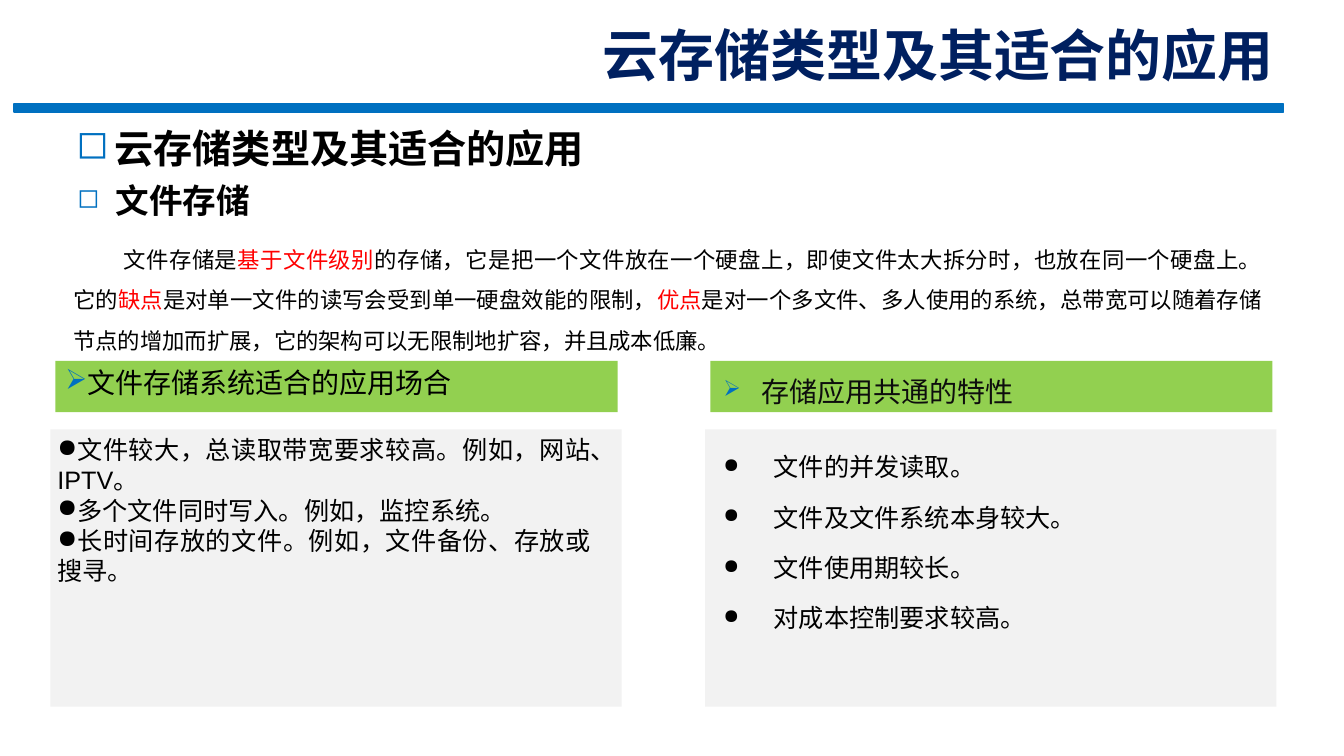
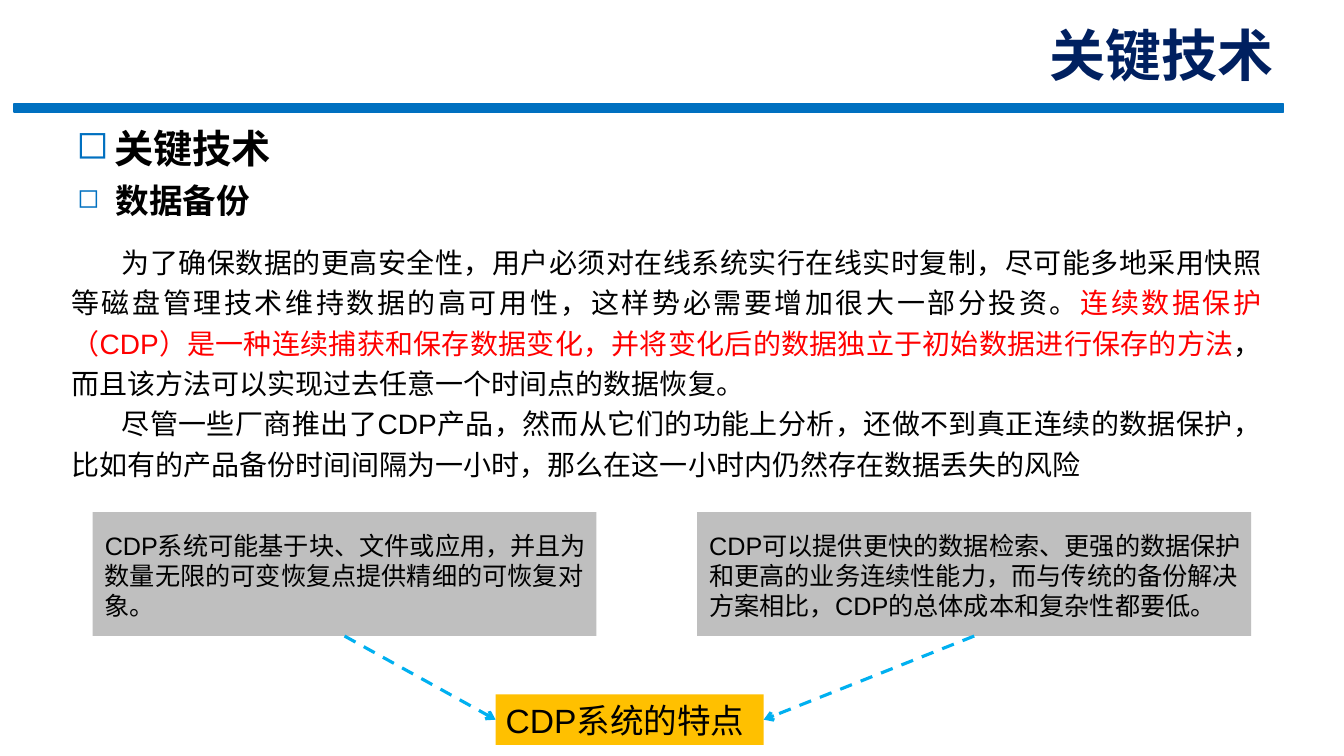
from dataclasses import dataclass
from typing import Optional

from lxml import etree
from pptx import Presentation
from pptx.dml.color import RGBColor
from pptx.enum.dml import MSO_LINE_DASH_STYLE as Dash
from pptx.enum.lang import MSO_LANGUAGE_ID as Language
from pptx.enum.shapes import MSO_CONNECTOR as Connector, MSO_SHAPE as Shape
from pptx.enum.text import MSO_ANCHOR as Anchor, PP_ALIGN as Align
from pptx.oxml.ns import qn
from pptx.util import Inches, Pt

BLACK = RGBColor(0x00, 0x00, 0x00)
NEAR_BLACK = RGBColor(0x0D, 0x0D, 0x0D)
RED = RGBColor(0xFF, 0x00, 0x00)
NAVY = RGBColor(0x00, 0x20, 0x60)
BLUE = RGBColor(0x00, 0x70, 0xC0)
SKY = RGBColor(0x00, 0xB0, 0xF0)
GREEN = RGBColor(0x92, 0xD0, 0x50)
GOLD = RGBColor(0xFF, 0xC0, 0x00)
PALE_GRAY = RGBColor(0xF2, 0xF2, 0xF2)
GRAY = RGBColor(0xBF, 0xBF, 0xBF)

CJK_FONT = "Noto Sans CJK SC"
BODY_FONT = "Arial"
TITLE_FONT = "Lato"
DEFAULT_INSETS = (0.1, 0.05, 0.1, 0.05)
BOTTOM, LEFT, RIGHT = 2, 1, 3  # connection sites of a rectangle


@dataclass
class TextStyle:
    """Type settings; hanging and first_line are indents in inches."""
    size: float
    font: str = BODY_FONT
    color: RGBColor = BLACK
    bold: bool = False
    align: Align = Align.LEFT
    line_spacing: float = 1.0
    space_before: float = 0
    bullet: str = ""
    bullet_color: Optional[RGBColor] = None
    bullet_percent: int = 100
    hanging: float = 0
    first_line: float = 0


TITLE = TextStyle(40, TITLE_FONT, NAVY, True, Align.RIGHT)
HEADING = TextStyle(28, CJK_FONT, bold=True, bullet="◻", bullet_color=BLUE, hanging=0.38)
SUBHEADING = TextStyle(24, CJK_FONT, bold=True, bullet="◻", bullet_color=BLUE,
                       bullet_percent=80, hanging=0.38)
CARD = TextStyle(18)
LABEL = TextStyle(24)


class Deck:
    def __init__(self):
        self.presentation = Presentation()
        self.presentation.slide_width = Inches(13.34)
        self.presentation.slide_height = Inches(7.5)
        self.slide = None

    def add_slide(self, title, subheading):
        """Start a slide with its title, blue band and two headings."""
        self.slide = self.presentation.slides.add_slide(self.presentation.slide_layouts[6])
        self.box(0.14, 1.03, 12.6, 0.08, BLUE, outline=BLUE)
        self.text(5.67, 0.34, 7.07, 0.58, [title], TITLE, anchor=Anchor.BOTTOM)
        self.text(0.66, 1.18, 8, 0.57, [title], HEADING)
        self.text(0.67, 1.74, 8, 0.5, [subheading], SUBHEADING)

    def box(self, left, top, width, height, fill, outline=None):
        shape = self.slide.shapes.add_shape(
            Shape.RECTANGLE, Inches(left), Inches(top), Inches(width), Inches(height))
        shape.shadow.inherit = False
        shape.fill.solid()
        shape.fill.fore_color.rgb = fill
        if outline is None:
            shape.line.fill.background()
        else:
            shape.line.color.rgb = outline
            shape.line.width = Pt(1)
        return shape

    def text(self, left, top, width, height, lines, style, anchor=Anchor.TOP):
        shape = self.slide.shapes.add_textbox(
            Inches(left), Inches(top), Inches(width), Inches(height))
        self.fill_text(shape, lines, style, anchor=anchor)

    def fill_text(self, shape, lines, style, insets=DEFAULT_INSETS, anchor=Anchor.TOP):
        """Fill a shape with paragraphs; text between bars is red."""
        frame = shape.text_frame
        frame.word_wrap = True
        frame.vertical_anchor = anchor
        (frame.margin_left, frame.margin_top,
         frame.margin_right, frame.margin_bottom) = map(Inches, insets)
        for index, line in enumerate(lines):
            paragraph = frame.add_paragraph() if index else frame.paragraphs[0]
            self.format_paragraph(paragraph, style)
            for part_index, part in enumerate(line.split("|")):
                run = paragraph.add_run()
                run.text = part
                self.format_run(run, style, RED if part_index % 2 else style.color)

    @staticmethod
    def format_paragraph(paragraph, style):
        paragraph.alignment = style.align
        paragraph.line_spacing = style.line_spacing
        paragraph.space_before = Pt(style.space_before)
        properties = paragraph._p.get_or_add_pPr()
        properties.set("marL", str(Inches(style.hanging)))
        properties.set("indent", str(Inches(style.first_line - style.hanging)))
        if not style.bullet:
            return
        if style.bullet_color is not None:
            color = etree.SubElement(properties, qn("a:buClr"))
            etree.SubElement(color, qn("a:srgbClr"), val=str(style.bullet_color))
        etree.SubElement(properties, qn("a:buSzPct"), val=str(style.bullet_percent * 1000))
        etree.SubElement(properties, qn("a:buChar"), char=style.bullet)

    @staticmethod
    def format_run(run, style, color):
        font = run.font
        font.size = Pt(style.size)
        font.bold = style.bold
        font.color.rgb = color
        font.name = style.font
        font.language_id = Language.SIMPLIFIED_CHINESE
        latin = run._r.get_or_add_rPr().find(qn("a:latin"))
        east_asian = etree.Element(qn("a:ea"), typeface=CJK_FONT)
        latin.addnext(east_asian)

    def dashed_arrow(self, source, source_site, target, target_site):
        connector = self.slide.shapes.add_connector(Connector.STRAIGHT, 0, 0, 0, 0)
        connector.begin_connect(source, source_site)
        connector.end_connect(target, target_site)
        connector.line.color.rgb = SKY
        connector.line.width = Pt(2.25)
        connector.line.dash_style = Dash.DASH
        line = connector._element.spPr.find(qn("a:ln"))
        etree.SubElement(line, qn("a:tailEnd"), type="arrow")
        etree.SubElement(connector._element.spPr, qn("a:effectLst"))


def build_file_storage(deck):
    deck.add_slide("云存储类型及其适合的应用", "文件存储")
    deck.text(0.63, 2.26, 12, 1.31, [
        "文件存储是|基于文件级别|的存储，它是把一个文件放在一个硬盘上，即使文件太大拆分时，"
        "也放在同一个硬盘上。它的|缺点|是对单一文件的读写会受到单一硬盘效能的限制，|优点|"
        "是对一个多文件、多人使用的系统，总带宽可以随着存储节点的增加而扩展，"
        "它的架构可以无限制地扩容，并且成本低廉。",
    ], TextStyle(16, align=Align.JUSTIFY, line_spacing=1.5, first_line=0.5))

    columns = [
        (0.5, "文件存储系统适合的应用场合",
         TextStyle(20, bullet="➢", bullet_color=BLUE), DEFAULT_INSETS,
         ["文件较大，总读取带宽要求较高。例如，网站、IPTV。",
          "多个文件同时写入。例如，监控系统。",
          "长时间存放的文件。例如，文件备份、存放或搜寻。"],
         TextStyle(18, align=Align.JUSTIFY, bullet="●"), (0.07, 0.05, 0.3, 0.05)),
        (7, "存储应用共通的特性",
         TextStyle(20, color=NEAR_BLACK, line_spacing=1.2, bullet="➢",
                   bullet_color=BLUE, bullet_percent=80, hanging=0.38),
         (0.13, 0.07, 0.13, 0.07),
         ["文件的并发读取。", "文件及文件系统本身较大。", "文件使用期较长。", "对成本控制要求较高。"],
         TextStyle(18, align=Align.JUSTIFY, line_spacing=1.5, space_before=3.6,
                   bullet="●", bullet_percent=80, hanging=0.5),
         (0.18, 0.07, 0.3, 0.07)),
    ]
    for left, header, header_style, header_insets, items, item_style, item_insets in columns:
        deck.fill_text(deck.box(left + 0.05, 3.58, 5.58, 0.51, GREEN),
                       [header], header_style, header_insets)
        deck.fill_text(deck.box(left, 4.26, 5.67, 2.75, PALE_GRAY),
                       items, item_style, item_insets)


def build_data_backup(deck):
    deck.add_slide("关键技术", "数据备份")
    deck.text(0.61, 2.32, 12.01, 2.66, [
        "为了确保数据的更高安全性，用户必须对在线系统实行在线实时复制，"
        "尽可能多地采用快照等磁盘管理技术维持数据的高可用性，这样势必需要增加很大一部分投资。"
        "|连续数据保护（CDP）是一种连续捕获和保存数据变化，"
        "并将变化后的数据独立于初始数据进行保存的方法|"
        "，而且该方法可以实现过去任意一个时间点的数据恢复。",
        "尽管一些厂商推出了CDP产品，然而从它们的功能上分析，还做不到真正连续的数据保护，"
        "比如有的产品备份时间间隔为一小时，那么在这一小时内仍然存在数据丢失的风险",
    ], TextStyle(20, align=Align.JUSTIFY, line_spacing=1.2, first_line=0.5))

    label = deck.box(4.92, 6.89, 2.66, 0.5, GOLD)
    deck.fill_text(label, ["CDP系统的特点"], LABEL)
    cards = [
        (0.92, 5, 0.08, LEFT,
         "CDP系统可能基于块、文件或应用，并且为数量无限的可变恢复点提供精细的可恢复对象。"),
        (6.92, 5.5, 0.04, RIGHT,
         "CDP可以提供更快的数据检索、更强的数据保护和更高的业务连续性能力，"
         "而与传统的备份解决方案相比，CDP的总体成本和复杂性都要低。"),
    ]
    for left, width, right_inset, label_site, text in cards:
        card = deck.box(left, 5.08, width, 1.23, GRAY)
        deck.fill_text(card, [text], CARD, (0.12, 0.18, right_inset, 0.05))
        deck.dashed_arrow(card, BOTTOM, label, label_site)


def main():
    deck = Deck()
    build_file_storage(deck)
    build_data_backup(deck)
    deck.presentation.save("out.pptx")


if __name__ == "__main__":
    main()
